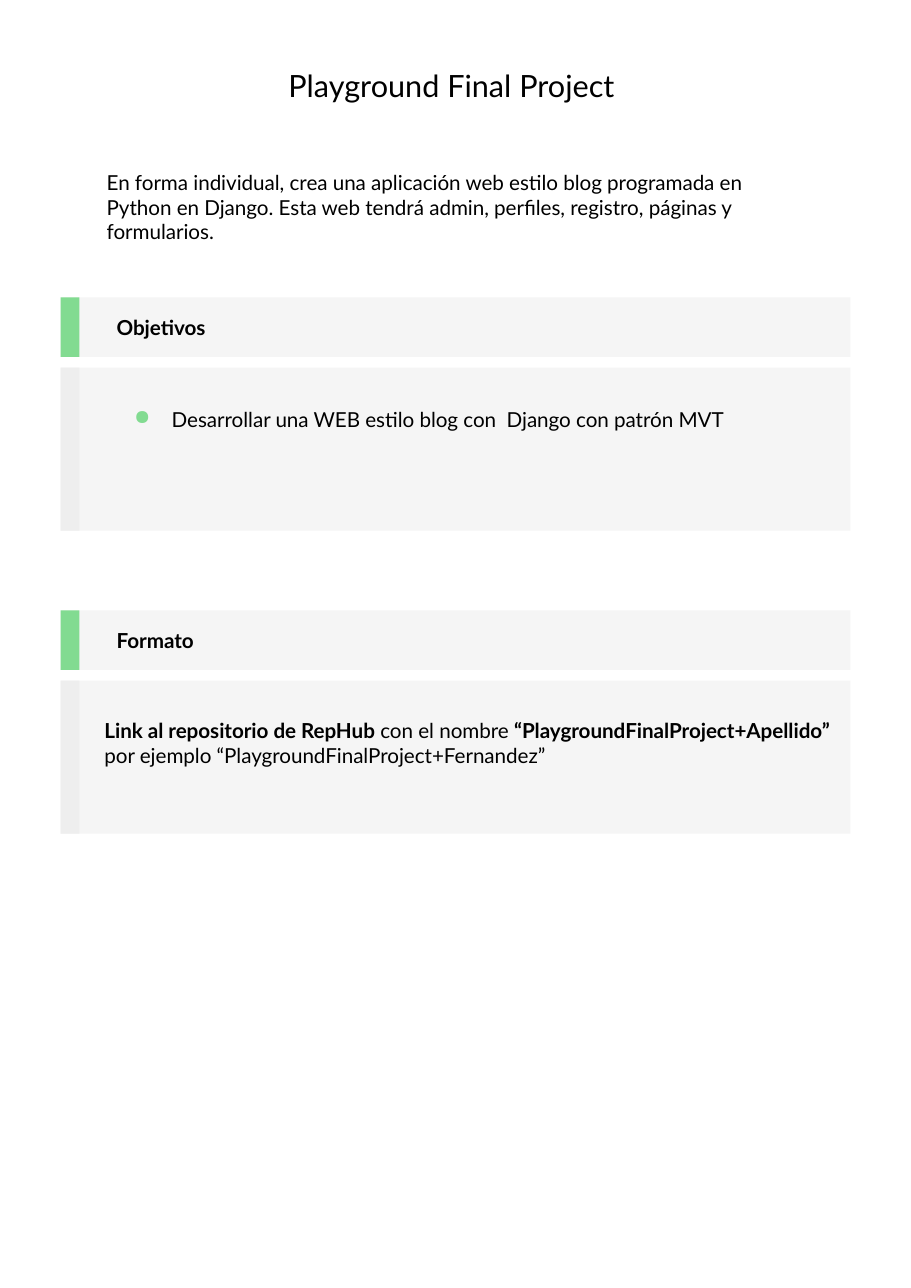
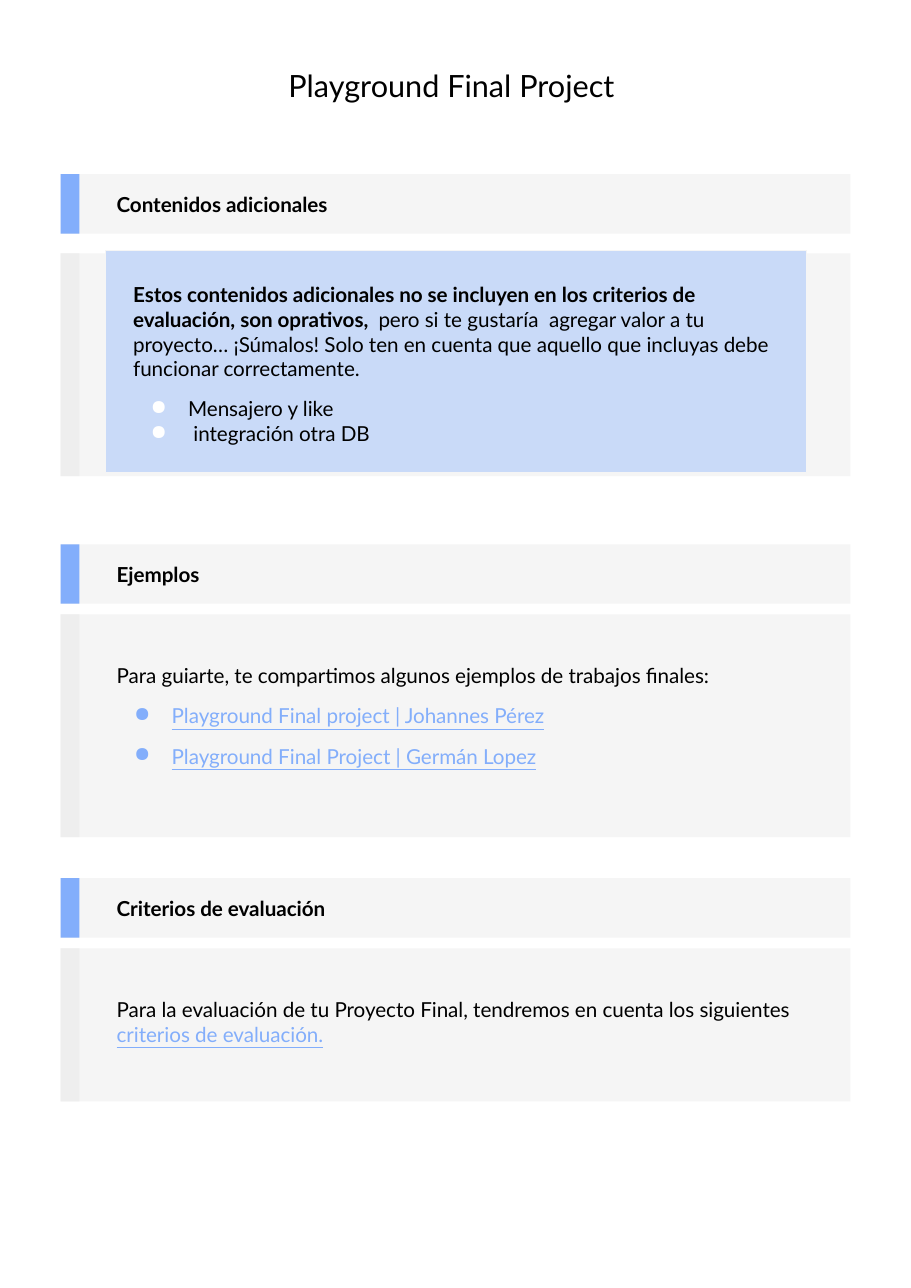
from lxml.etree import SubElement
from pptx import Presentation
from pptx.dml.color import RGBColor
from pptx.enum.shapes import MSO_SHAPE as Shape
from pptx.enum.text import MSO_ANCHOR as Anchor, MSO_AUTO_SIZE as Fit, PP_ALIGN as Align
from pptx.oxml.ns import qn
from pptx.util import Inches, Pt

WIDTH, HEIGHT = Inches(8.27), Inches(11.69)
FONT, BODY_SIZE, TITLE_SIZE = "Lato", 13.5, 20
BLACK, WHITE, PANEL, STRIP = "000000", "FFFFFF", "F5F5F5", "EEEEEE"
GREEN, BLUE, PALE_BLUE = "82DB91", "83AEFB", "C9DAF8"
LEFT, SPAN, STRIP_SPAN = 6.65, 86.7, 2.06
TEXT_LEFT, TEXT_SPAN, LABEL_SPAN = 11.61, 76.9, 78.84
HEADER_HEIGHT, LABEL_DROP, LABEL_HEIGHT = 4.62, 0.22, 4.19
BOLD = {"bold": True}
LINK = {"underline": True, "color": BLUE}


def rgb(code):
    """Turn a hex string into a colour."""
    return RGBColor.from_string(code)


def place(left, top, width, height):
    """Turn percentages of the slide into lengths."""
    return [round(share * side / 100) for share, side in
            zip((left, top, width, height), (WIDTH, HEIGHT) * 2)]


def block(shapes, area, fill, outline=None):
    """Draw a plain rectangle."""
    rectangle = shapes.add_shape(Shape.RECTANGLE, *place(*area))
    rectangle.shadow.inherit = False
    rectangle.fill.solid()
    rectangle.fill.fore_color.rgb = rgb(fill)
    if outline:
        rectangle.line.color.rgb = rgb(outline)
        rectangle.line.width = Pt(0.75)
    else:
        rectangle.line.fill.background()


def banded(slide, top, height, strip):
    """Draw a grey panel with a coloured strip on its left."""
    panel = slide.shapes.add_group_shape().shapes
    block(panel, (LEFT, top, SPAN, height), PANEL)
    block(panel, (LEFT, top, STRIP_SPAN, height), strip)


def add_bullet(paragraph, color):
    """Give a paragraph a hanging round bullet."""
    properties = paragraph._p.get_or_add_pPr()
    properties.set("marL", str(Inches(0.5)))
    properties.set("indent", str(Inches(-0.34)))
    tint = SubElement(properties, qn("a:buClr"))
    SubElement(tint, qn("a:srgbClr")).set("val", color)
    SubElement(properties, qn("a:buChar")).set("char", "●")


def para(*runs, bullet=None, **layout):
    """Describe a paragraph by its runs, bullet colour and layout."""
    return {"runs": runs, "bullet": bullet, "layout": layout}


def write(slide, area, *paragraphs, size=BODY_SIZE, **frame_format):
    """Write paragraphs into a text box."""
    frame = slide.shapes.add_textbox(*place(*area)).text_frame
    settings = {"word_wrap": True, "auto_size": Fit.SHAPE_TO_FIT_TEXT}
    settings.update(dict.fromkeys(
        ("margin_left", "margin_top", "margin_right", "margin_bottom"), Inches(0.1)))
    for name, value in (settings | frame_format).items():
        setattr(frame, name, value)
    for index, content in enumerate(paragraphs):
        paragraph = frame.add_paragraph() if index else frame.paragraphs[0]
        for name, value in content["layout"].items():
            setattr(paragraph, name, value)
        if content["bullet"]:
            add_bullet(paragraph, content["bullet"])
        for words, style in content["runs"]:
            run = paragraph.add_run()
            run.text = words
            look = {"name": FONT, "size": Pt(size), "color": BLACK} | style
            run.font.color.rgb = rgb(look.pop("color"))
            for name, value in look.items():
                setattr(run.font, name, value)


def section(slide, label, top, height, accent, step=5.45):
    """Draw a labelled header and the panel below it."""
    banded(slide, top, HEADER_HEIGHT, accent)
    banded(slide, top + step, height, STRIP)
    write(slide, (TEXT_LEFT, top + LABEL_DROP, LABEL_SPAN, LABEL_HEIGHT),
          para((label, BOLD), space_after=Pt(12)),
          vertical_anchor=Anchor.MIDDLE, auto_size=Fit.NONE)


def titled_slide(deck):
    """Add a blank slide with the shared title."""
    slide = deck.slides.add_slide(deck.slide_layouts[6])
    write(slide, (LEFT, 4.36, SPAN, 4.62),
          para(("Playground Final Project ", {}), alignment=Align.CENTER), size=TITLE_SIZE)
    return slide


def brief_slide(deck):
    """Build the slide with the goals and the format."""
    slide = titled_slide(deck)
    after = Pt(10)
    write(slide, (10.52, 12.32, LABEL_SPAN, 7.53), para(
        ("En forma individual, crea una aplicación web estilo blog programada en Python en "
         "Django. Esta web tendrá admin, perfiles, registro, páginas y formularios.", {}),
        space_after=after))
    section(slide, "Objetivos", 23.1, 12.66, GREEN)
    write(slide, (TEXT_LEFT, 30.71, TEXT_SPAN, 3.68), para(
        ("Desarrollar una WEB estilo blog con  Django con patrón MVT", {}),
        bullet=GREEN, space_after=after))
    section(slide, "Formato", 47.39, 11.89, GREEN)
    write(slide, (10.28, 54.92, 83.07, 7.53), para(
        ("Link al repositorio de RepHub", BOLD),
        (" con el nombre ", {}),
        ("“PlaygroundFinalProject+Apellido”", BOLD),
        (" por ejemplo “PlaygroundFinalProject+Fernandez”", {}),
        space_after=after))


def criteria_slide(deck):
    """Build the slide with the extras, examples and criteria."""
    slide = titled_slide(deck)
    before = Pt(10)
    section(slide, "Contenidos adicionales", 13.52, 17.28, BLUE, step=6.16)
    block(slide.shapes, (TEXT_LEFT, 19.42, TEXT_SPAN, 17.28), PALE_BLUE, PANEL)
    write(slide, (13.42, 21.04, 72.43, 14.63),
          para(("Estos contenidos adicionales no se incluyen en los criterios de evaluación, "
                "son oprativos,  ", BOLD),
               ("pero si te gustaría  agregar valor a tu proyecto… ¡Súmalos! Solo ten en cuenta "
                "que aquello que incluyas debe funcionar correctamente.", {})),
          para(("Mensajero y like", {}), bullet=WHITE, space_before=before),
          para((" integración otra DB", {}), bullet=WHITE))
    section(slide, "Ejemplos", 42.26, 17.28, BLUE)
    examples = ("Playground Final project | Johannes Pérez",
                "Playground Final Project | Germán Lopez")
    write(slide, (TEXT_LEFT, 50.64, TEXT_SPAN, 9.92),
          para(("Para guiarte, te compartimos algunos ejemplos de trabajos finales:", {})),
          *(para((example, LINK), bullet=BLUE, space_before=before) for example in examples))
    section(slide, "Criterios de evaluación", 68.18, 11.89, BLUE)
    write(slide, (TEXT_LEFT, 76.56, TEXT_SPAN, 5.65), para(
        ("Para la evaluación de tu Proyecto Final, tendremos en cuenta los siguientes ", {}),
        ("criterios de evaluación.", LINK), space_after=Pt(10)))


def main():
    """Build and save the deck."""
    deck = Presentation()
    deck.slide_width, deck.slide_height = WIDTH, HEIGHT
    brief_slide(deck)
    criteria_slide(deck)
    deck.save("out.pptx")


if __name__ == "__main__":
    main()
